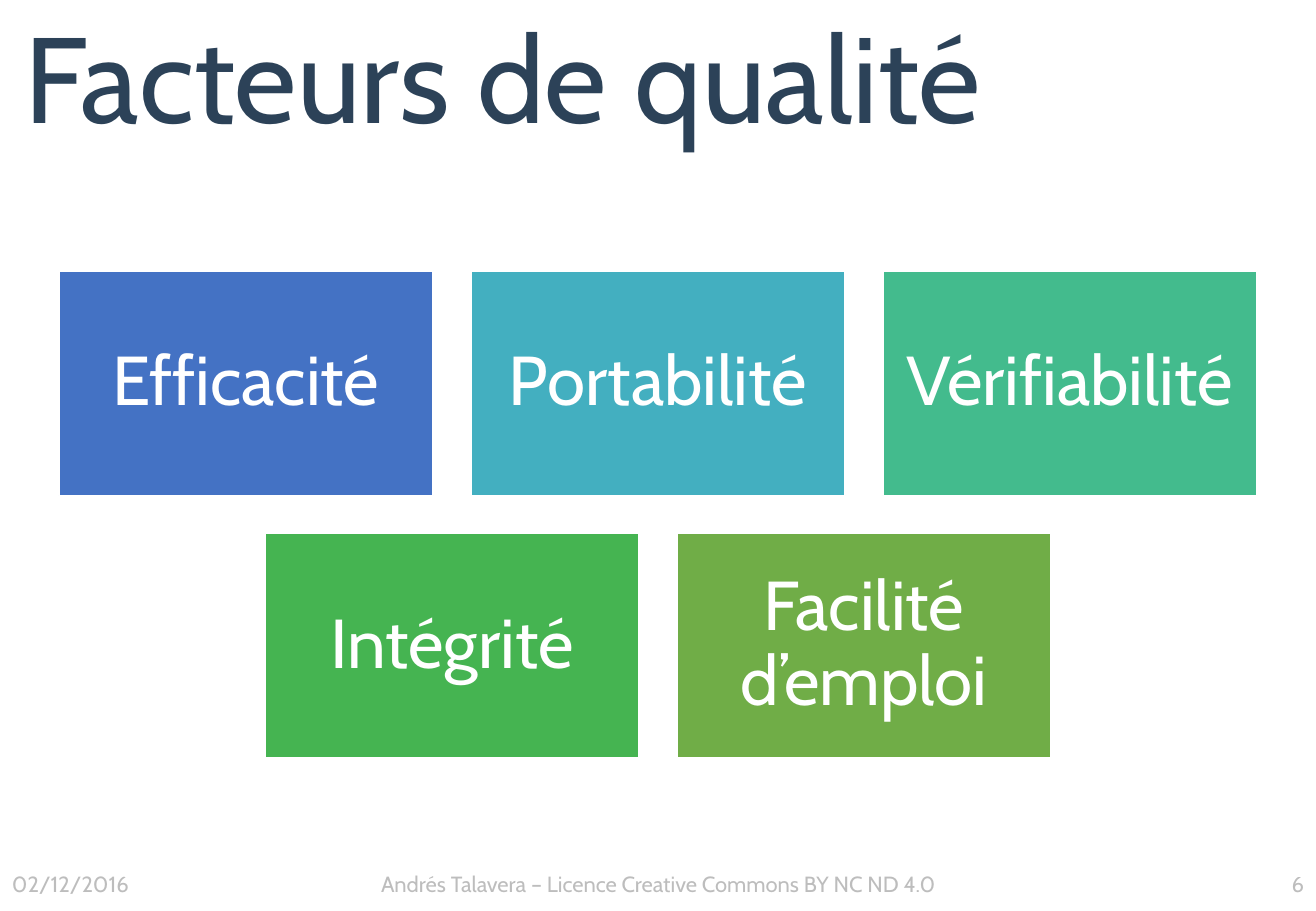
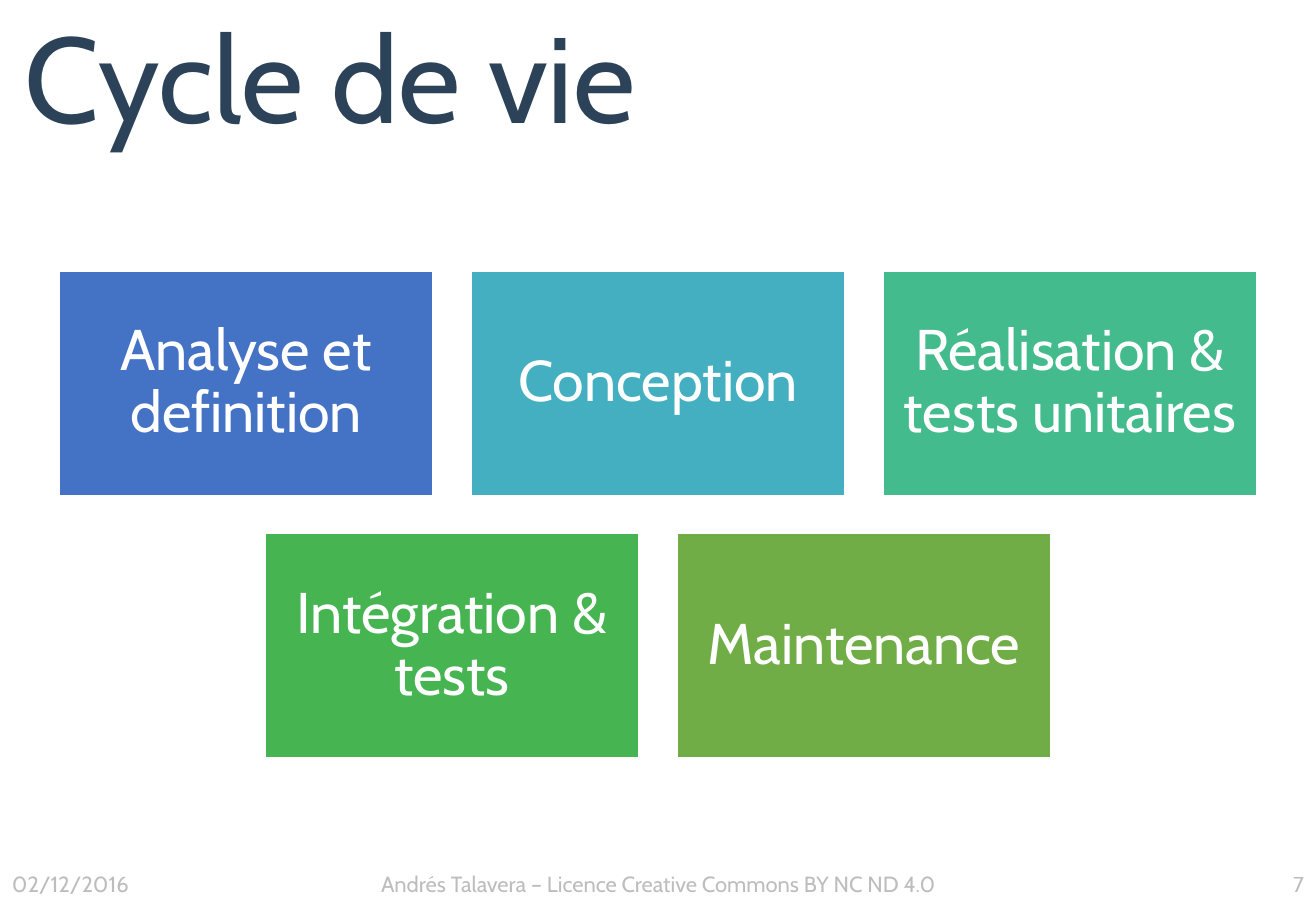
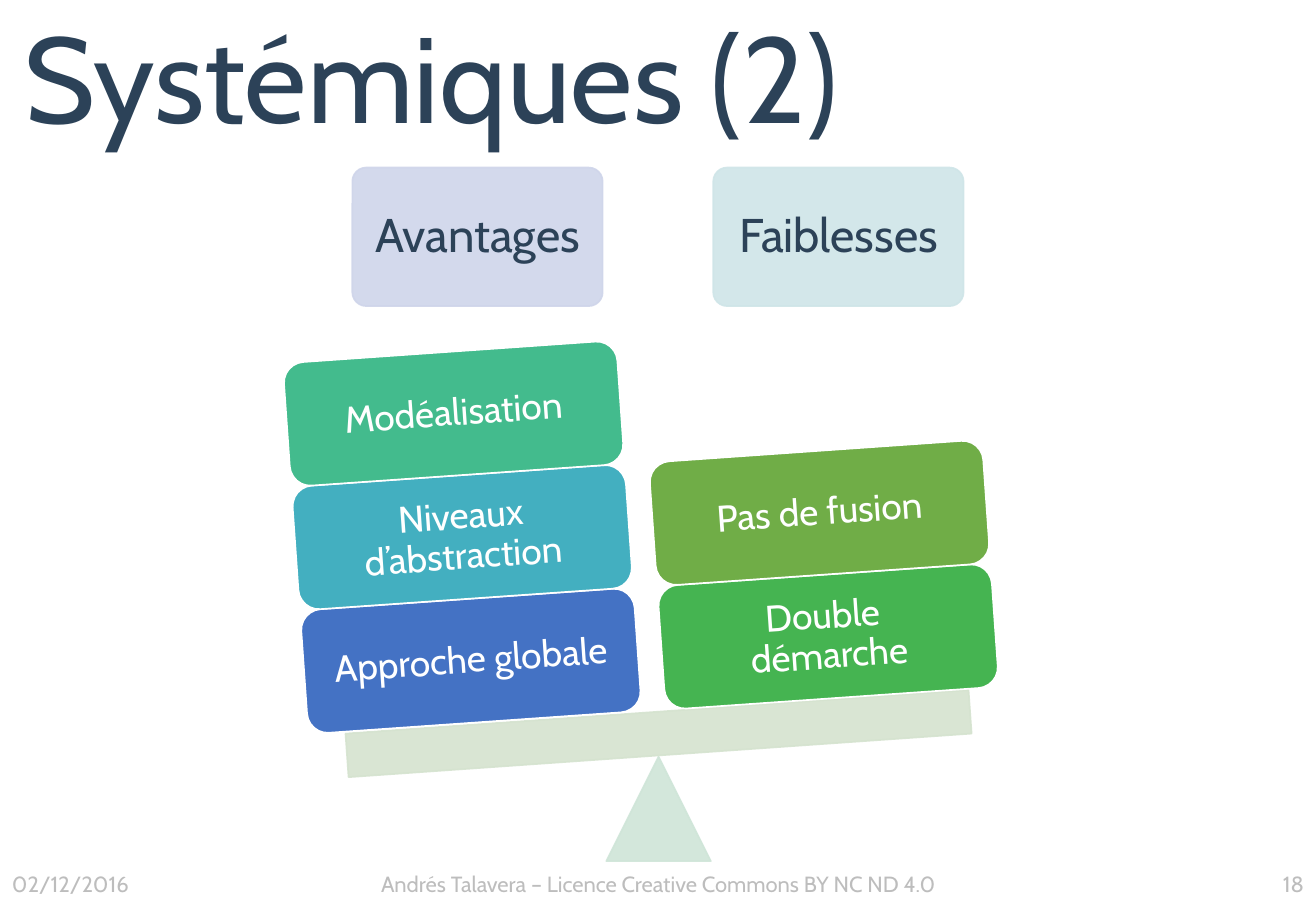
from math import cos, radians, sin

from lxml.etree import SubElement
from pptx import Presentation
from pptx.dml.color import RGBColor
from pptx.enum.shapes import MSO_SHAPE
from pptx.enum.text import MSO_ANCHOR, PP_ALIGN
from pptx.oxml.ns import qn
from pptx.util import Inches, Pt

WIDTH, HEIGHT = 10.83, 7.5
FONT = "Cabin"
WHITE = RGBColor(0xFF, 0xFF, 0xFF)
BLACK = RGBColor(0x00, 0x00, 0x00)
NAVY = RGBColor(0x2C, 0x42, 0x58)
BLUE = RGBColor(0x44, 0x72, 0xC4)
TEAL = RGBColor(0x43, 0xAF, 0xC0)
MINT = RGBColor(0x43, 0xBB, 0x8D)
GREEN = RGBColor(0x45, 0xB4, 0x51)
OLIVE = RGBColor(0x70, 0xAD, 0x47)
PALE_BLUE = RGBColor(0xCF, 0xD5, 0xEA)
PALE_TEAL = RGBColor(0xCF, 0xE5, 0xE8)
PALE_MINT = RGBColor(0xCF, 0xE5, 0xD8)
PALE_OLIVE = RGBColor(0xD5, 0xE3, 0xCF)
CARD_COLORS = [BLUE, TEAL, MINT, GREEN, OLIVE]

DATE = "02/12/2016"
LICENCE = "Andrés Talavera – Licence Creative Commons BY NC ND 4.0"

# title, page number, text size, inner margin, cards
CARD_SLIDES = [
    ("Facteurs de qualité", 6, 41, 0.17,
     ["Efficacité", "Portabilité", "Vérifiabilité", "Intégrité", "Facilité d’emploi"]),
    ("Cycle de vie", 7, 34, 0.14,
     ["Analyse et definition", "Conception", "Réalisation & tests unitaires",
      "Intégration & tests", "Maintenance"]),
]
CARD_W, CARD_H, CARD_GAP, CARD_TOP, COLUMNS = 3.08, 1.85, 0.31, 2.23, 3

BALANCE_TITLE, BALANCE_PAGE = "Systémiques (2)", 18
# heading, its colour and left, then left and top of the lowest block, blocks upwards
PANS = [
    ("Avantages", PALE_BLUE, 2.9, 2.5, 4.93,
     [("Approche globale", BLUE), ("Niveaux d’abstraction", TEAL), ("Modéalisation", MINT)]),
    ("Faiblesses", PALE_TEAL, 5.87, 5.44, 4.73,
     [("Double \vdémarche", GREEN), ("Pas de fusion", OLIVE)]),
]
TILT, BLOCK_STEP = -4, 1.02


def fade(element, percent):
    """Set the opacity of every RGB colour inside the element."""
    for color in element.iter(qn("a:srgbClr")):
        SubElement(color, qn("a:alpha"), val=str(percent * 1000))


def write(s, text, size, color=WHITE, align=PP_ALIGN.CENTER, margins=(0, 0, 0, 0),
          spacing=0.9, opacity=None):
    """Fill a shape with one paragraph; margins are left, top, right, bottom."""
    tf = s.text_frame
    tf.word_wrap = True
    tf.vertical_anchor = MSO_ANCHOR.MIDDLE
    tf.margin_left, tf.margin_top, tf.margin_right, tf.margin_bottom = map(Inches, margins)
    tf.text = text
    p = tf.paragraphs[0]
    p.alignment = align
    p.line_spacing = spacing
    for r in p.runs:
        r.font.name, r.font.size = FONT, Pt(size)
        r.font.color.rgb = color
        if opacity:
            fade(r._r, opacity)


def add_box(slide, x, y, w, h):
    return slide.shapes.add_textbox(Inches(x), Inches(y), Inches(w), Inches(h))


def add_block(slide, kind, x, y, w, h, fill, line=WHITE, opacity=None, rotation=0):
    s = slide.shapes.add_shape(kind, Inches(x), Inches(y), Inches(w), Inches(h))
    s.shadow.inherit = False
    s.fill.solid()
    s.fill.fore_color.rgb = fill
    s.line.color.rgb = line
    s.line.width = Pt(1)
    s.rotation = rotation
    if opacity:
        fade(s._element, opacity)
    return s


def add_pale(slide, kind, x, y, w, h, color, rotation=0):
    return add_block(slide, kind, x, y, w, h, color, color, 90, rotation)


def add_slide(prs, title, page):
    """Add a blank slide with the shared title and footer."""
    slide = prs.slides.add_slide(prs.slide_layouts[6])
    write(add_box(slide, 0, 0, WIDTH, 1.38), title, 72, NAVY, PP_ALIGN.LEFT, (0.2, 0, 0.2, 0))
    side, h = 2.13, 0.41
    footer = [(DATE, 0, side, PP_ALIGN.LEFT),
              (LICENCE, side, WIDTH - 2 * side, PP_ALIGN.CENTER),
              (str(page), WIDTH - side, side, PP_ALIGN.RIGHT)]
    for text, x, w, align in footer:
        write(add_box(slide, x, HEIGHT - h, w, h), text, 13, BLACK, align,
              (0.1, 0, 0.1, 0.04), spacing=1, opacity=25)
    return slide


def add_cards(slide, cards, size, margin):
    """Lay the cards out in centred rows."""
    for i, (text, color) in enumerate(zip(cards, CARD_COLORS)):
        row, column = divmod(i, COLUMNS)
        count = min(COLUMNS, len(cards) - row * COLUMNS)
        left = (WIDTH - count * CARD_W - (count - 1) * CARD_GAP) / 2
        s = add_block(slide, MSO_SHAPE.RECTANGLE, left + column * (CARD_W + CARD_GAP),
                      CARD_TOP + row * (CARD_H + CARD_GAP), CARD_W, CARD_H, color)
        write(s, text, size, margins=(margin,) * 4)


def add_balance(slide):
    add_pale(slide, MSO_SHAPE.ISOSCELES_TRIANGLE, 4.99, 6.23, 0.86, 0.86, PALE_MINT)
    add_pale(slide, MSO_SHAPE.RECTANGLE, 2.85, 5.86, 5.14, 0.36, PALE_OLIVE, TILT)
    dx, dy = BLOCK_STEP * sin(radians(TILT)), -BLOCK_STEP * cos(radians(TILT))
    for heading, pale, heading_x, x, y, blocks in PANS:
        s = add_pale(slide, MSO_SHAPE.ROUNDED_RECTANGLE, heading_x, 1.38, 2.06, 1.14, pale)
        s.adjustments[0] = 0.1
        write(s, heading, 28, NAVY, margins=(0.12,) * 4)
        for level, (text, color) in enumerate(blocks):
            s = add_block(slide, MSO_SHAPE.ROUNDED_RECTANGLE, x + level * dx, y + level * dy,
                          2.75, 1.02, color, rotation=TILT)
            write(s, text, 22, margins=(0.09,) * 4)


def main():
    prs = Presentation()
    prs.slide_width, prs.slide_height = Inches(WIDTH), Inches(HEIGHT)
    for title, page, size, margin, cards in CARD_SLIDES:
        add_cards(add_slide(prs, title, page), cards, size, margin)
    add_balance(add_slide(prs, BALANCE_TITLE, BALANCE_PAGE))
    prs.save("out.pptx")


if __name__ == "__main__":
    main()
